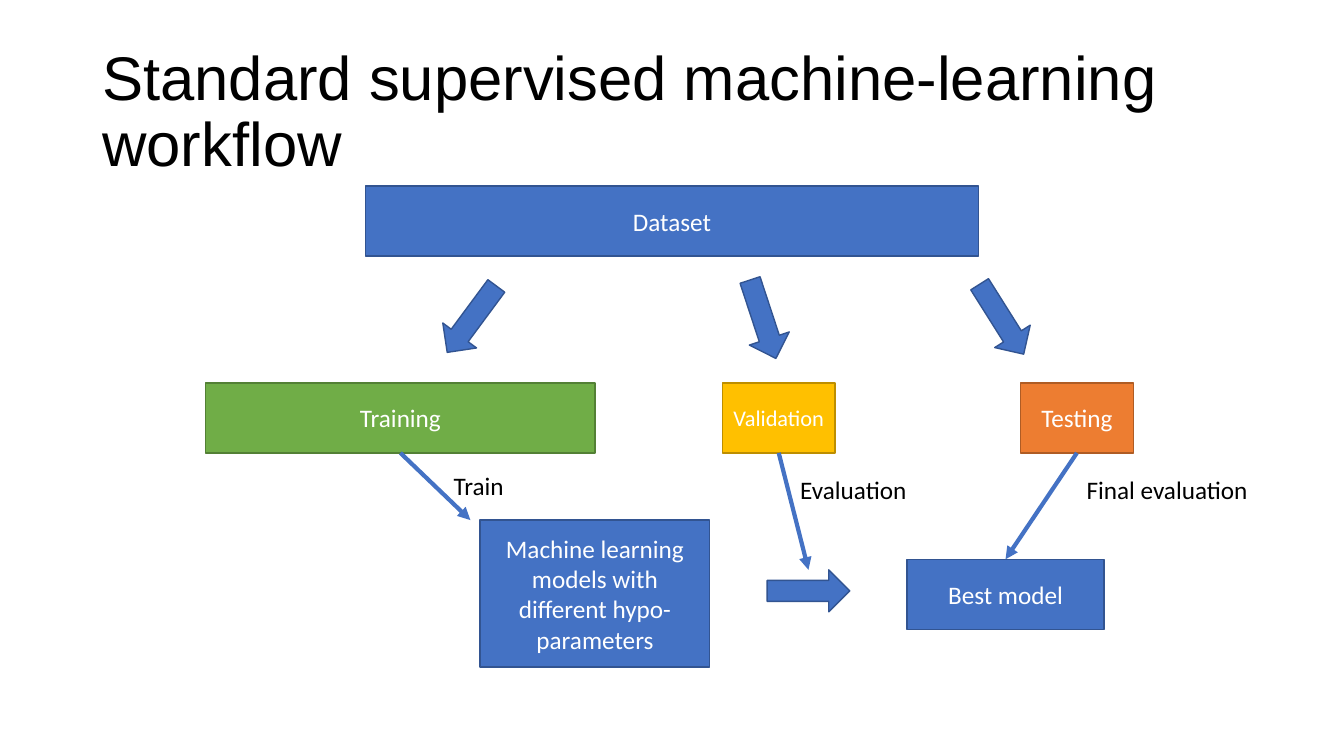
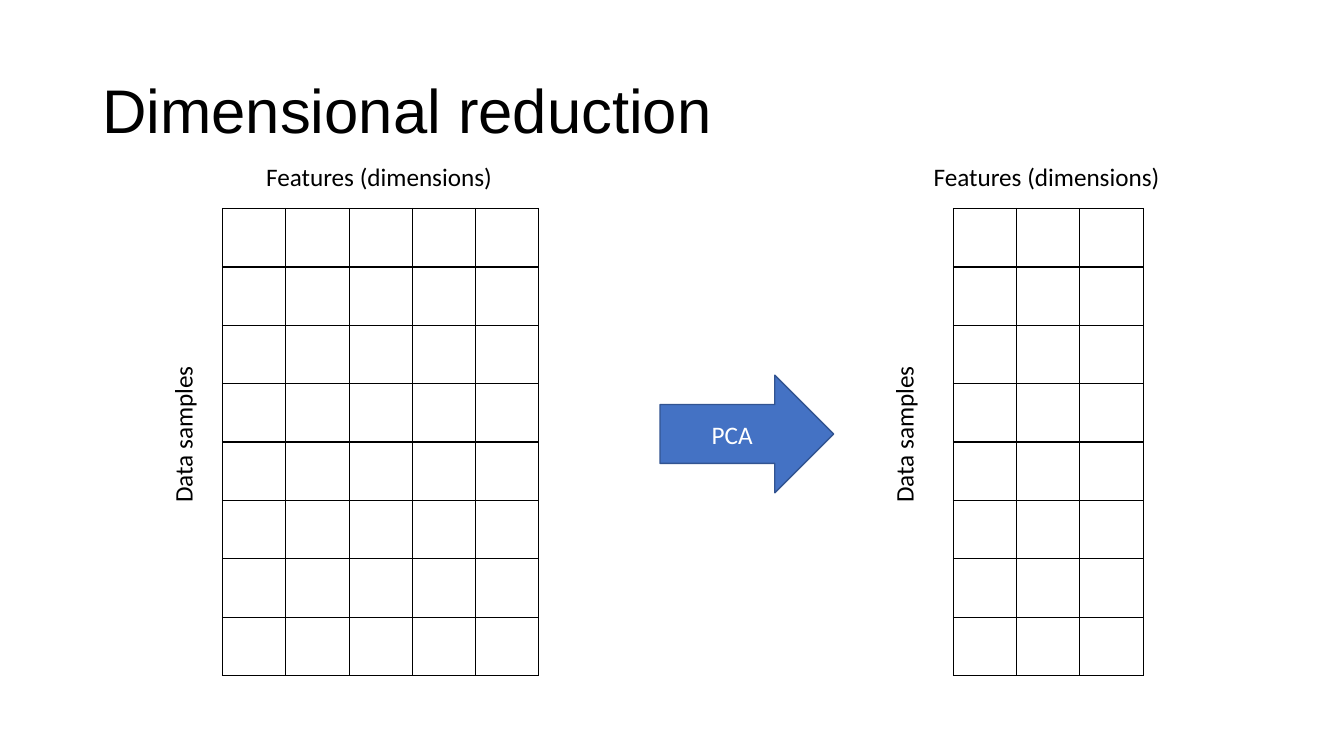
from lxml import etree
from pptx import Presentation
from pptx.dml.color import RGBColor
from pptx.enum.shapes import MSO_CONNECTOR, MSO_SHAPE
from pptx.enum.text import MSO_ANCHOR, MSO_AUTO_SIZE, PP_ALIGN
from pptx.oxml.ns import qn
from pptx.util import Pt

BLACK, WHITE = "000000", "FFFFFF"
BLUE = ("4472C4", "325491")  # fill, outline
GREEN = ("70AD47", "538035")
YELLOW = ("FFC000", "BD8E00")
ORANGE = ("ED7D31", "AF5C24")
TITLE_FONT, BODY_FONT = "Arial", "Calibri"
LABEL_H = 29
BOX_H = 50


def rgb(value):
    return RGBColor.from_string(value)


def set_text(tf, text, size=18, color=BLACK, font=BODY_FONT, align=PP_ALIGN.LEFT):
    tf.text = text
    p = tf.paragraphs[0]
    p.alignment = align
    p.font.size = Pt(size)
    p.font.name = font
    p.font.color.rgb = rgb(color)
    return p


def add_title(s, text):
    tf = s.shapes.add_textbox(Pt(66), Pt(28.8), Pt(828), Pt(104.4)).text_frame
    tf.word_wrap = True
    tf.vertical_anchor = MSO_ANCHOR.MIDDLE
    set_text(tf, text, 44, font=TITLE_FONT).line_spacing = 0.9


def add_label(s, text, x, y, w, rotation=0):
    sp = s.shapes.add_textbox(Pt(x), Pt(y), Pt(w), Pt(LABEL_H))
    sp.rotation = rotation
    sp.text_frame.word_wrap = False
    sp.text_frame.auto_size = MSO_AUTO_SIZE.SHAPE_TO_FIT_TEXT
    set_text(sp.text_frame, text)


def add_block(s, kind, x, y, w, h, text="", colors=BLUE, size=18):
    sp = s.shapes.add_shape(kind, Pt(x), Pt(y), Pt(w), Pt(h))
    sp.shadow.inherit = False
    fill, line = colors
    sp.fill.solid()
    sp.fill.fore_color.rgb = rgb(fill)
    sp.line.color.rgb = rgb(line)
    sp.line.width = Pt(1)
    if text:
        sp.text_frame.word_wrap = True
        sp.text_frame.vertical_anchor = MSO_ANCHOR.MIDDLE
        set_text(sp.text_frame, text, size, WHITE, align=PP_ALIGN.CENTER)
    return sp


def add_arrow_line(s, source, x, y, target=None):
    """Arrow from the bottom of source to (x, y), or to the top of target."""
    line = s.shapes.add_connector(MSO_CONNECTOR.STRAIGHT, 0, 0, Pt(x), Pt(y))
    line.begin_connect(source, 2)
    if target is not None:
        line.end_connect(target, 0)
    line.line.color.rgb = rgb(BLUE[0])
    line.line.width = Pt(3)
    etree.SubElement(line.line._get_or_add_ln(), qn("a:tailEnd"), type="triangle")
    etree.SubElement(line._element.spPr, qn("a:effectLst"))


def add_workflow(s, x, y):
    def box(text, dx, dy, w, h=BOX_H, colors=BLUE, size=18):
        return add_block(s, MSO_SHAPE.RECTANGLE, x + dx, y + dy, w, h, text, colors, size)

    split_y = 140.5
    box("Dataset", 114, 0, 438)
    training = box("Training", 0, split_y, 278, colors=GREEN)
    validation = box("Validation", 369, split_y, 80.5, colors=YELLOW, size=16)
    testing = box("Testing", 582, split_y, 80.5, colors=ORANGE)
    box("Machine learning models with different hypo-parameters", 196, 238.5, 164, 105)
    best = box("Best model", 501, 266.5, 140.5)

    for dx, dy, rotation in ((175, 65.5, 36.5), (383, 65.5, 341.8),
                             (553.5, 65.5, 327.8), (415.5, 259.5, 270)):
        add_block(s, MSO_SHAPE.DOWN_ARROW, x + dx, y + dy, 30, 59).rotation = rotation

    add_arrow_line(s, training, x + 189, y + 238.5)
    add_arrow_line(s, validation, x + 430.5, y + 274)
    add_arrow_line(s, testing, x + 571, y + 266.5, best)
    for text, dx, dy, w in (("Train", 170, 199.5, 50.5), ("Evaluation", 417.5, 202, 91.5),
                            ("Final evaluation", 622, 202, 131)):
        add_label(s, text, x + dx, y + dy, w)


def set_borders(cell):
    tc_pr = cell._tc.get_or_add_tcPr()
    for i, side in enumerate(("a:lnL", "a:lnR", "a:lnT", "a:lnB")):
        ln = etree.Element(qn(side), w=str(Pt(1)))
        fill = etree.SubElement(ln, qn("a:solidFill"))
        etree.SubElement(fill, qn("a:srgbClr"), val=BLACK)
        tc_pr.insert(i, ln)


def add_matrix(s, x, y, columns, side_gap, rows=8, col_w=45.2, row_h=41.7):
    """Empty grid with a heading above and a vertical label side_gap to its left."""
    w, h = columns * col_w, rows * row_h
    table = s.shapes.add_table(rows, columns, Pt(x), Pt(y), Pt(w), Pt(h)).table
    table.first_row = table.horz_banding = False
    for column in table.columns:
        column.width = Pt(col_w)
    for row in table.rows:
        row.height = Pt(row_h)
    for cell in table.iter_cells():
        cell.fill.background()
        set_borders(cell)

    heading_w, side_w = 178, 113
    add_label(s, "Features (dimensions)", x + (w - heading_w) / 2, y - 37.5, heading_w)
    add_label(s, "Data samples", x - side_gap - side_w / 2,
              y + (h - LABEL_H) / 2 - 6, side_w, 270)


def main():
    prs = Presentation()
    prs.slide_width, prs.slide_height = Pt(960), Pt(540)
    blank = prs.slide_layouts[6]

    s = prs.slides.add_slide(blank)
    add_title(s, "Standard supervised machine-learning workflow")
    add_workflow(s, 147, 133)

    s = prs.slides.add_slide(blank)
    add_title(s, "Dimensional reduction")
    add_matrix(s, 159, 149, 5, 28.5)
    add_block(s, MSO_SHAPE.RIGHT_ARROW, 471.5, 268, 124, 84, "PCA")
    add_matrix(s, 681, 149, 3, 35.5)

    prs.save("out.pptx")


if __name__ == "__main__":
    main()
